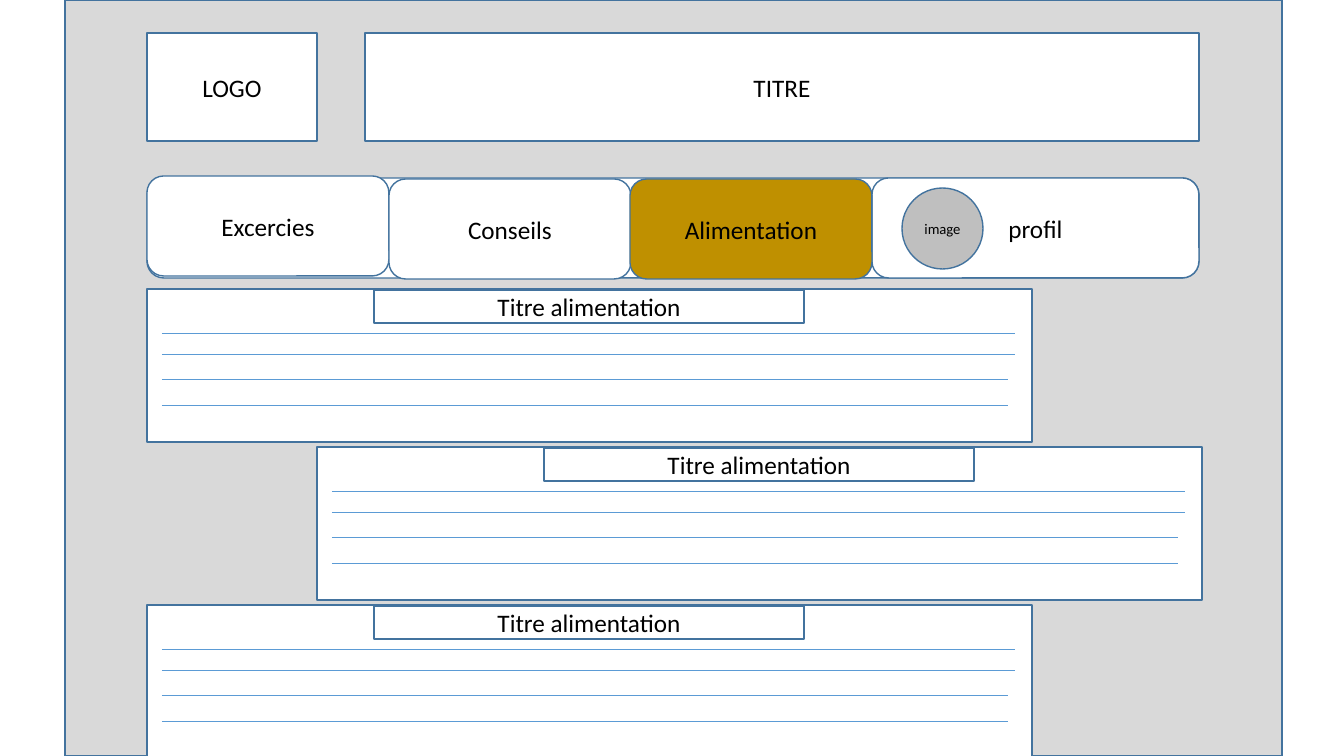
from dataclasses import dataclass

from lxml import etree
from pptx import Presentation
from pptx.dml.color import RGBColor
from pptx.enum.shapes import MSO_CONNECTOR, MSO_SHAPE
from pptx.enum.text import MSO_ANCHOR, MSO_AUTO_SIZE, PP_ALIGN
from pptx.oxml.ns import qn
from pptx.shapes.autoshape import Shape
from pptx.slide import Slide
from pptx.util import Emu, Pt

SCALE = 914400 / 100.8
WHITE = RGBColor(0xFF, 0xFF, 0xFF)
BLACK = RGBColor(0x00, 0x00, 0x00)
PAGE_GREY = RGBColor(0xD9, 0xD9, 0xD9)
AVATAR_GREY = RGBColor(0xBF, 0xBF, 0xBF)
GOLD = RGBColor(0xBF, 0x90, 0x00)
BORDER_BLUE = RGBColor(0x43, 0x73, 0x9E)
RULE_BLUE = RGBColor(0x5B, 0x9B, 0xD5)
FONT = "Calibri"


@dataclass(frozen=True)
class Box:
    """A bordered shape, measured in pixels."""
    left: int
    top: int
    width: int
    height: int
    text: str = ""
    fill: RGBColor = WHITE
    kind: MSO_SHAPE = MSO_SHAPE.RECTANGLE
    size: float = 18


@dataclass(frozen=True)
class Rule:
    """A text line of a card: offset from the card's top, and length."""
    offset: int
    length: int


ROUNDED = MSO_SHAPE.ROUNDED_RECTANGLE
PAGE = Box(65, 0, 1217, 756, fill=PAGE_GREY)
LOGO = Box(147, 33, 170, 108, "LOGO")
TITLE = Box(365, 33, 834, 108, "TITRE")
MENU = [
    Box(147, 178, 1052, 100, kind=ROUNDED),
    Box(872, 178, 327, 100, "profil", kind=ROUNDED),
    Box(147, 176, 242, 100, "Excercies", kind=ROUNDED),
    Box(389, 179, 242, 100, "Conseils", kind=ROUNDED),
    Box(630, 179, 242, 100, "Alimentation", GOLD, ROUNDED),
    Box(902, 188, 81, 81, "image", AVATAR_GREY, MSO_SHAPE.OVAL, 10.5),
]
CARD_LEFTS = [147, 317, 147]
CARD_TOP, CARD_STEP = 289, 158
CARD_RULES = [Rule(44, 853), Rule(65, 853), Rule(90, 846), Rule(116, 846)]


def px(pixels: int) -> Emu:
    """Convert pixels to EMU."""
    return Emu(round(pixels * SCALE))


def format_box(shape: Shape, box: Box) -> None:
    """Place a shape and give it its fill, border and centred text."""
    shape.left, shape.top = px(box.left), px(box.top)
    shape.width, shape.height = px(box.width), px(box.height)
    shape.shadow.inherit = False
    shape.fill.solid()
    shape.fill.fore_color.rgb = box.fill
    shape.line.color.rgb = BORDER_BLUE
    shape.line.width = Pt(1)
    if not box.text:
        return
    frame = shape.text_frame
    frame.text = box.text
    frame.word_wrap = True
    frame.auto_size = MSO_AUTO_SIZE.NONE
    frame.vertical_anchor = MSO_ANCHOR.MIDDLE
    paragraph = frame.paragraphs[0]
    paragraph.alignment = PP_ALIGN.CENTER
    font = paragraph.runs[0].font
    font.name, font.size = FONT, Pt(box.size)
    font.color.rgb = BLACK


def add_box(slide: Slide, box: Box) -> None:
    """Add a preset shape for the box."""
    shape = slide.shapes.add_shape(box.kind, 0, 0, px(box.width), px(box.height))
    format_box(shape, box)


def add_title(slide: Slide, box: Box) -> None:
    """Format the title placeholder and bring it in front of the page."""
    title = slide.shapes.title
    format_box(title, box)
    title.element.getparent().append(title.element)


def add_rule(slide: Slide, left: int, top: int, length: int) -> None:
    """Add a thin horizontal line without shadow."""
    line = slide.shapes.add_connector(
        MSO_CONNECTOR.STRAIGHT, px(left), px(top), px(left + length), px(top))
    line.line.color.rgb = RULE_BLUE
    line.line.width = Pt(0.5)
    etree.SubElement(line.element.spPr, qn("a:effectLst"))


def add_card(slide: Slide, left: int, top: int) -> None:
    """Add a food card: its panel, its heading and its text lines."""
    add_box(slide, Box(left, top, 885, 153))
    add_box(slide, Box(left + 227, top + 1, 430, 33, "Titre alimentation"))
    for rule in CARD_RULES:
        add_rule(slide, left + 15, top + rule.offset, rule.length)


def main() -> None:
    """Build and save the slide."""
    deck = Presentation()
    deck.slide_width, deck.slide_height = px(1344), px(756)
    slide = deck.slides.add_slide(deck.slide_layouts.get_by_name("Title Only"))
    add_box(slide, PAGE)
    add_box(slide, LOGO)
    add_title(slide, TITLE)
    for box in MENU:
        add_box(slide, box)
    for row, left in enumerate(CARD_LEFTS):
        add_card(slide, left, CARD_TOP + row * CARD_STEP)
    deck.save("out.pptx")


main()
